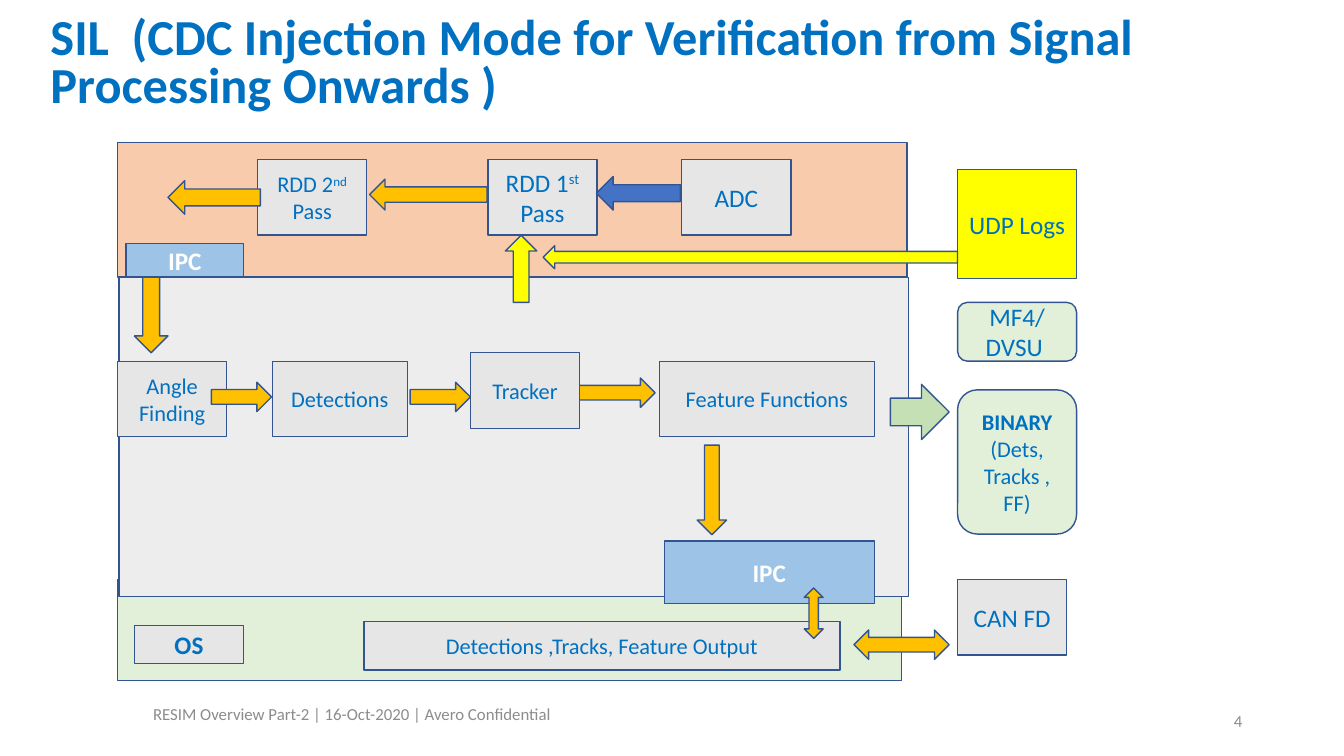
from pptx import Presentation
from pptx.dml.color import RGBColor
from pptx.enum.shapes import MSO_SHAPE as Kind
from pptx.enum.text import MSO_ANCHOR as Anchor, PP_ALIGN as Align
from pptx.util import Pt

BLUE, WHITE, MUTED, EDGE = "0070C0", "FFFFFF", "8C8C8C", "325491"
GREY, PALE, SKY = "E7E6E6", "E2F0D9", "9DC3E6"
AMBER, YELLOW = "FFC000", "FFFF00"
LEFT, RIGHT = Kind.LEFT_ARROW, Kind.RIGHT_ARROW
UP, DOWN = Kind.UP_ARROW, Kind.DOWN_ARROW


def color(code):
    return RGBColor.from_string(code)


def write(shape, text, size, ink=BLUE, bold=False, align=Align.CENTER, anchor=Anchor.MIDDLE):
    frame = shape.text_frame
    frame.word_wrap = True
    frame.vertical_anchor = anchor
    for i, line in enumerate(text.split("\n")):
        para = frame.add_paragraph() if i else frame.paragraphs[0]
        para.alignment = align
        for j, part in enumerate(line.split("^")):
            run = para.add_run()
            run.text = part
            if j % 2:
                run.font._element.set("baseline", "30000")
        font = para.font
        font.name, font.size = "Calibri", Pt(size)
        font.bold = bold and i == 0
        font.color.rgb = color(ink)
    return frame


def draw(slide, box, x, y, w, h, fill, kind=Kind.RECTANGLE):
    shape = slide.shapes.add_shape(kind, Pt(box[0] + x), Pt(box[1] + y), Pt(w), Pt(h))
    shape.shadow.inherit = False
    shape.fill.solid()
    shape.fill.fore_color.rgb = color(fill)
    shape.line.color.rgb = color(EDGE)
    shape.line.width = Pt(1)
    return shape


def panel(slide, box, fill):
    draw(slide, box, 0, 0, *box[2:], fill)


def block(slide, box, x, y, text, size=16, w=78, h=54, fill=GREY, **style):
    write(draw(slide, box, x, y, w, h, fill), text, size, **style)


def label(slide, box, text, size, **style):
    return write(slide.shapes.add_textbox(*map(Pt, box)), text, size, **style)


def heading(slide, box):
    frame = label(slide, box, "SIL  (CDC Injection Mode for Verification from Signal Processing Onwards )",
                  36, bold=True, align=Align.LEFT, anchor=Anchor.BOTTOM)
    frame.paragraphs[0].line_spacing = 0.8


def footer(slide, box):
    x, y, w, h = box
    label(slide, (x, y, 310, h), "RESIM Overview Part-2 | 16-Oct-2020 | Avero Confidential", 12, ink=MUTED)
    label(slide, (x + w - 216, y + 2, 216, 29), "4", 12, ink=MUTED, align=Align.RIGHT)


def system(slide, box):
    panel(slide, box, PALE)
    block(slide, box, 12, 33, "OS", 18, h=27, bold=True)
    block(slide, box, 176, 30, "Detections ,Tracks, Feature Output", w=340, h=34.5)
    draw(slide, box, 526, 36, 68, 21, AMBER, Kind.LEFT_RIGHT_ARROW)


def tracking(slide, box):
    panel(slide, box, "EDEDED")
    block(slide, box, -1, 60, "Angle Finding")
    block(slide, box, 109.5, 60, "Detections", w=96.5)
    block(slide, box, 386, 60, "Feature Functions", w=153.5)
    for x, y, w in ((66, 75, 43), (208, 75, 43), (322.5, 72, 60.5)):
        draw(slide, box, x, y, w, 21, AMBER, RIGHT)
    block(slide, box, 251, 54, "Tracker")
    draw(slide, box, 413, 120, 21, 64, AMBER, DOWN)
    block(slide, box, 389.5, 188.5, "IPC", 18, w=150, h=44.5, fill=SKY, ink=WHITE, bold=True)
    draw(slide, box, 489.5, 222, 13.5, 36, AMBER, Kind.UP_DOWN_ARROW)
    draw(slide, box, 551, 76.5, 42, 39.5, "C5E0B4", RIGHT)


def radar(slide, box):
    panel(slide, box, "F8CBAD")
    for x, text, size in ((403, "ADC", 18), (264.5, "RDD 1^st^ Pass", 18), (100, "RDD 2^nd^ Pass", 16)):
        block(slide, box, x, 12, text, size)
    for x, y, w, h, fill, kind in (
        (342, 24, 60, 24, "4472C4", LEFT),
        (180, 26, 84, 22, AMBER, LEFT),
        (36, 27, 66, 24, AMBER, LEFT),
        (12, 84, 24, 66, AMBER, DOWN),
        (277, 66, 22.5, 48, YELLOW, UP),
    ):
        draw(slide, box, x, y, w, h, fill, kind)
    block(slide, box, 6, 72, "IPC", 18, w=84, h=24, fill=SKY, ink=WHITE, bold=True)


def outputs(slide, box):
    wide = box[2]
    block(slide, box, 0, 0, "UDP Logs ", 18, w=wide, h=78, fill=YELLOW)
    draw(slide, box, -296, 54.5, 296, 16.5, YELLOW, LEFT)
    for y, h, text, size, bold in (
        (95, 42, "MF4/ DVSU ", 18, False),
        (157.5, 103, "BINARY\n(Dets, Tracks , FF)", 16, True),
    ):
        write(draw(slide, box, 0, y, wide, h, PALE, Kind.ROUNDED_RECTANGLE), text, size, bold=bold)
    block(slide, box, 0, 293, "CAN FD", 18)


def main():
    deck = Presentation()
    deck.slide_width, deck.slide_height = Pt(960), Pt(540)
    slide = deck.slides.add_slide(deck.slide_layouts[6])
    footer(slide, (96.5, 498, 798, 24))
    system(slide, (84, 414, 560, 72))
    tracking(slide, (85, 198, 564, 228))
    radar(slide, (84, 102, 564, 96))
    outputs(slide, (684, 121, 85, 347))
    heading(slide, (29, 19, 864, 65.5))
    deck.save("out.pptx")


if __name__ == "__main__":
    main()
